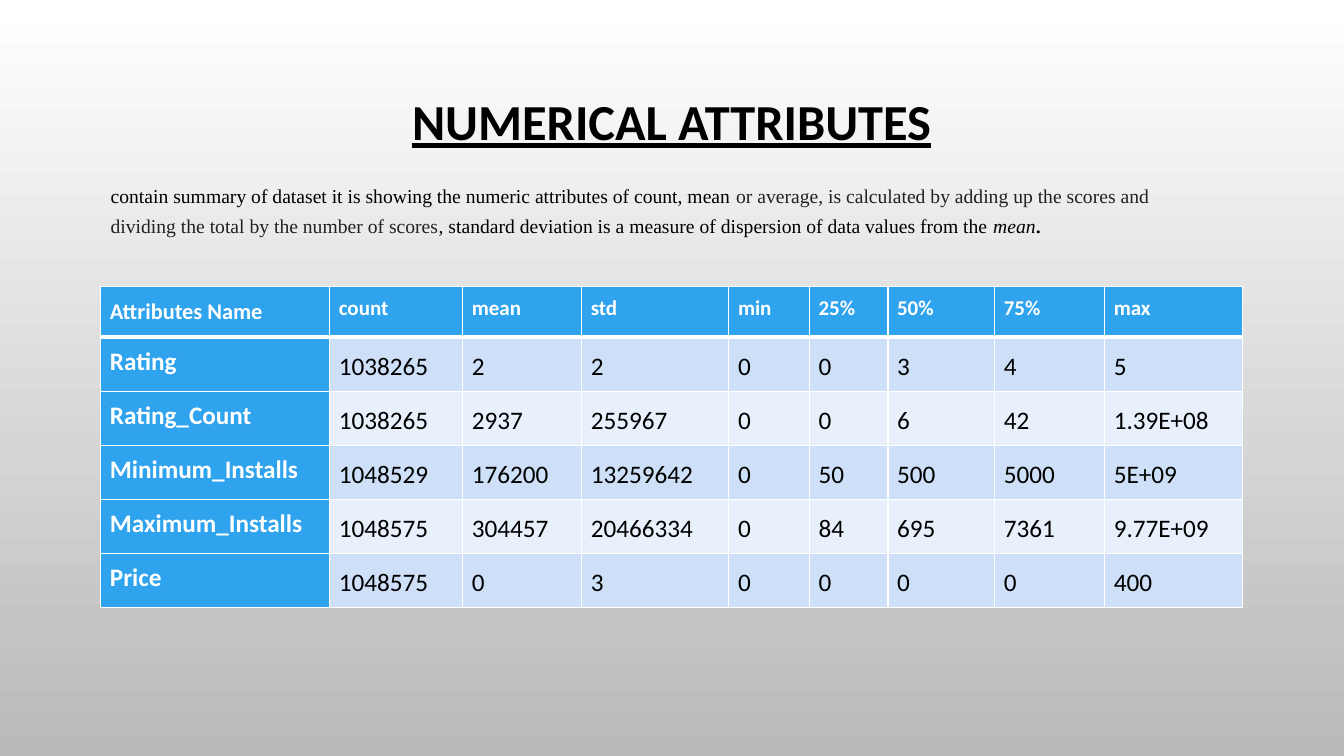
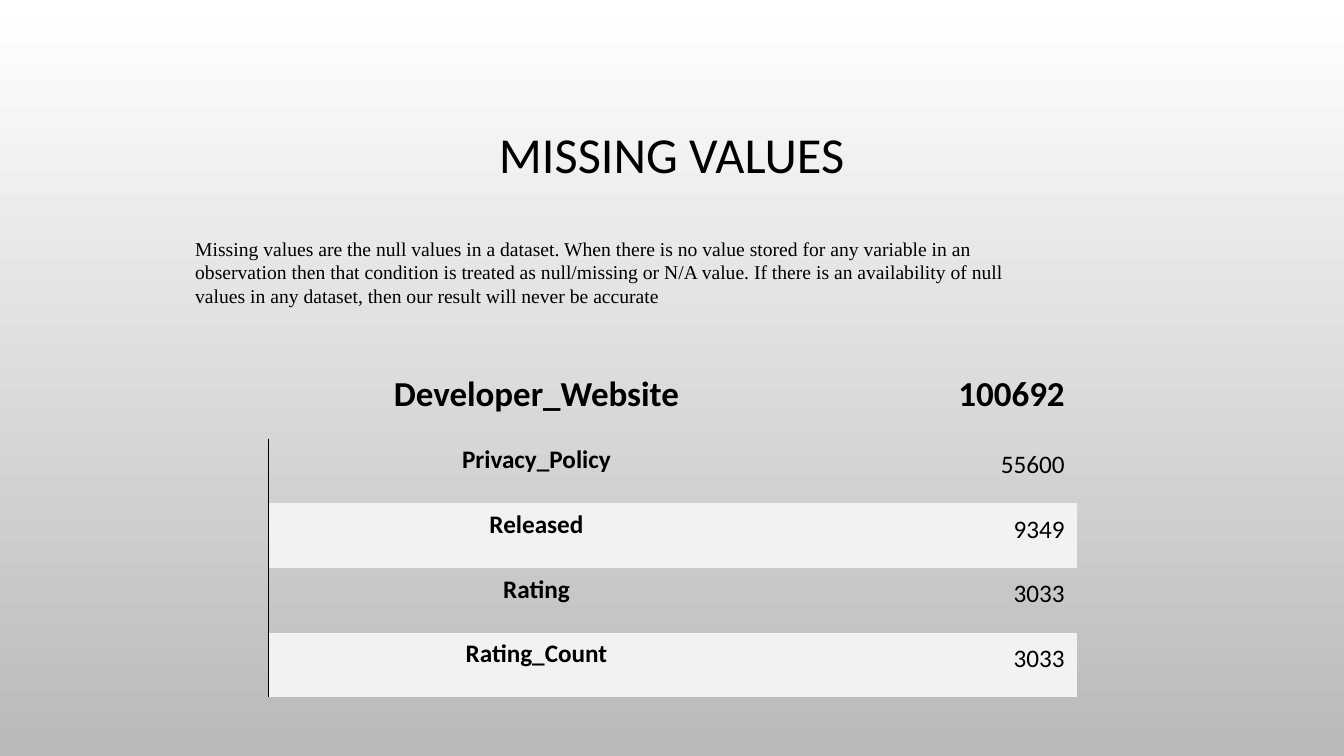
"""Build two slides on numerical attributes and missing values."""
from lxml import etree
from pptx import Presentation
from pptx.dml.color import RGBColor
from pptx.enum.text import MSO_ANCHOR as Anchor, PP_ALIGN as Align
from pptx.oxml.ns import qn
from pptx.util import Cm, Pt

COLORS = {
    "black": "000000", "white": "FFFFFF", "grey": "B9B9B9", "ink": "202124",
    "blue": "2FA3EE", "band_dark": "CDE0F8", "band_light": "E8F0FC",
    "stripe": "F2F2F2",
}
HEADING_FONT, BODY_FONT = "Calibri", "Times New Roman"
MARGIN, TITLE_TOP, CONTENT_WIDTH = 2.54, 1.73, 28.78

SUMMARY = [
    ("contain summary of dataset it is showing the numeric attributes of count, mean", {}),
    (" or average, is calculated by adding up the scores and dividing the total "
     "by the number of scores", {"color": "ink"}),
    (", standard deviation is a measure of dispersion of data values from the ", {}),
    ("mean", {"italic": True}),
    (".", {"italic": True, "size": 18}),
]
STATISTICS = [
    ("Attributes Name", "count", "mean", "std", "min", "25%", "50%", "75%", "max"),
    ("Rating", "1038265", "2", "2", "0", "0", "3", "4", "5"),
    ("Rating_Count", "1038265", "2937", "255967", "0", "0", "6", "42", "1.39E+08"),
    ("Minimum_Installs", "1048529", "176200", "13259642", "0", "50", "500", "5000", "5E+09"),
    ("Maximum_Installs", "1048575", "304457", "20466334", "0", "84", "695", "7361", "9.77E+09"),
    ("Price", "1048575", "0", "3", "0", "0", "0", "0", "400"),
]
STATISTICS_WIDTHS = [5.77, 3.35, 3, 3.71, 2.03, 1.98, 2.69, 2.77, 3.48]

EXPLANATION = [
    ("Missing values are the null values in a dataset. When there is no value stored "
     "for any variable in an observation then that condition is treated as "
     "null/missing or N/A value. If there is an availability of null values in any "
     "dataset, then our result will never be accurate", {}),
]
MISSING = [
    ("Developer_Website", "100692"),
    ("Privacy_Policy", "55600"),
    ("Released", "9349"),
    ("Rating", "3033"),
    ("Rating_Count", "3033"),
]
MISSING_WIDTHS = [13.54, 6.83]


def rgb(name):
    return RGBColor.from_string(COLORS[name])


def add_text(frame, text, size=14, font=HEADING_FONT, color="black", bold=False,
             italic=False, underline=False, align=Align.LEFT, spacing=1.0):
    paragraph = frame.paragraphs[0]
    paragraph.alignment, paragraph.line_spacing = align, spacing
    run = paragraph.add_run()
    run.text = text
    style = run.font
    style.size, style.name = Pt(size), font
    style.bold, style.italic, style.underline = bold, italic, underline
    style.color.rgb = rgb(color)


def add_frame(slide, left, top, width, height, anchor=Anchor.TOP):
    frame = slide.shapes.add_textbox(Cm(left), Cm(top), Cm(width), Cm(height)).text_frame
    frame.word_wrap, frame.vertical_anchor = True, anchor
    return frame


def add_title(slide, text, height, **emphasis):
    frame = add_frame(slide, MARGIN, TITLE_TOP, CONTENT_WIDTH, height, Anchor.MIDDLE)
    add_text(frame, text, size=36, align=Align.CENTER, spacing=0.9, **emphasis)


def add_body(slide, runs, *place):
    frame = add_frame(slide, *place)
    for text, style in runs:
        add_text(frame, text, font=BODY_FONT, **style)


def add_grid(slide, rows, left, top, widths, heights):
    table = slide.shapes.add_table(len(rows), len(widths), Cm(left), Cm(top),
                                   Cm(sum(widths)), Cm(sum(heights))).table
    table.first_row = table.horz_banding = False
    for column, width in zip(table.columns, widths):
        column.width = Cm(width)
    for row, height in zip(table.rows, heights):
        row.height = Cm(height)
    for r, values in enumerate(rows):
        for c, value in enumerate(values):
            yield r, c, table.cell(r, c), value


def style_cell(cell, fill, anchor, margins, borders):
    cell.vertical_anchor = anchor
    (cell.margin_left, cell.margin_top,
     cell.margin_right, cell.margin_bottom) = map(Cm, margins)
    if fill:
        cell.fill.solid()
        cell.fill.fore_color.rgb = rgb(fill)
    else:
        cell.fill.background()
    properties = cell._tc.get_or_add_tcPr()
    for position, side in enumerate("LRTB"):
        color, width = borders.get(side, (None, 0))
        line = etree.Element(qn(f"a:ln{side}"), w=str(Pt(width)))
        if color:
            paint = etree.SubElement(line, qn("a:solidFill"))
            etree.SubElement(paint, qn("a:srgbClr"), val=COLORS[color])
        else:
            etree.SubElement(line, qn("a:noFill"))
        properties.insert(position, line)


def build_statistics(slide):
    add_title(slide, "NUMERICAL ATTRIBUTES", 2.79, bold=True, underline=True)
    heights = [1.29] + [1.36] * (len(STATISTICS) - 1)
    for r, c, cell, value in add_grid(slide, STATISTICS, MARGIN, 7.21,
                                      STATISTICS_WIDTHS, heights):
        heading = r == 0 or c == 0
        band = "band_dark" if r % 2 else "band_light"
        anchor = Anchor.TOP if heading else Anchor.BOTTOM
        borders = dict.fromkeys("LRTB", ("white", 1))
        if r < 2:
            borders["T" if r else "B"] = ("white", 3)
        size = 18 if r else 15
        if r == c == 0:
            size, anchor = 16, Anchor.MIDDLE
        style_cell(cell, "blue" if heading else band, anchor, [0.23] * 4, borders)
        add_text(cell.text_frame, value, size=size, bold=heading,
                 color="white" if heading else "black")
    add_body(slide, SUMMARY, MARGIN, 4.52, 26.9, 2.39)


def build_missing(slide):
    add_title(slide, "MISSING VALUES", 4.45)
    heights = [1.91] + [1.63] * (len(MISSING) - 1)
    for r, c, cell, value in add_grid(slide, MISSING, 6.76, 9.14,
                                      MISSING_WIDTHS, heights):
        label = c == 0
        stripe = "stripe" if r and r % 2 == 0 else None
        anchor = Anchor.TOP if r and label else Anchor.BOTTOM
        borders = {"L": ("black", 0.75)} if r and label else {}
        style_cell(cell, stripe, anchor, [0.28, 0.08, 0.3, 0.58], borders)
        add_text(cell.text_frame, value, size=18 if r else 25, bold=label or r == 0,
                 align=Align.CENTER if label else Align.RIGHT, spacing=1.1)
    add_body(slide, EXPLANATION, 4.67, 5.84, 22.02, 2.06)


def main():
    deck = Presentation()
    deck.slide_width, deck.slide_height = Cm(33.87), Cm(19.05)
    backdrop = deck.slide_master.background.fill
    backdrop.gradient()
    backdrop.gradient_angle = 270
    for stop, color in zip(backdrop.gradient_stops, ("white", "grey")):
        stop.color.rgb = rgb(color)
    for build in (build_statistics, build_missing):
        build(deck.slides.add_slide(deck.slide_layouts[6]))
    deck.save("out.pptx")


if __name__ == "__main__":
    main()
